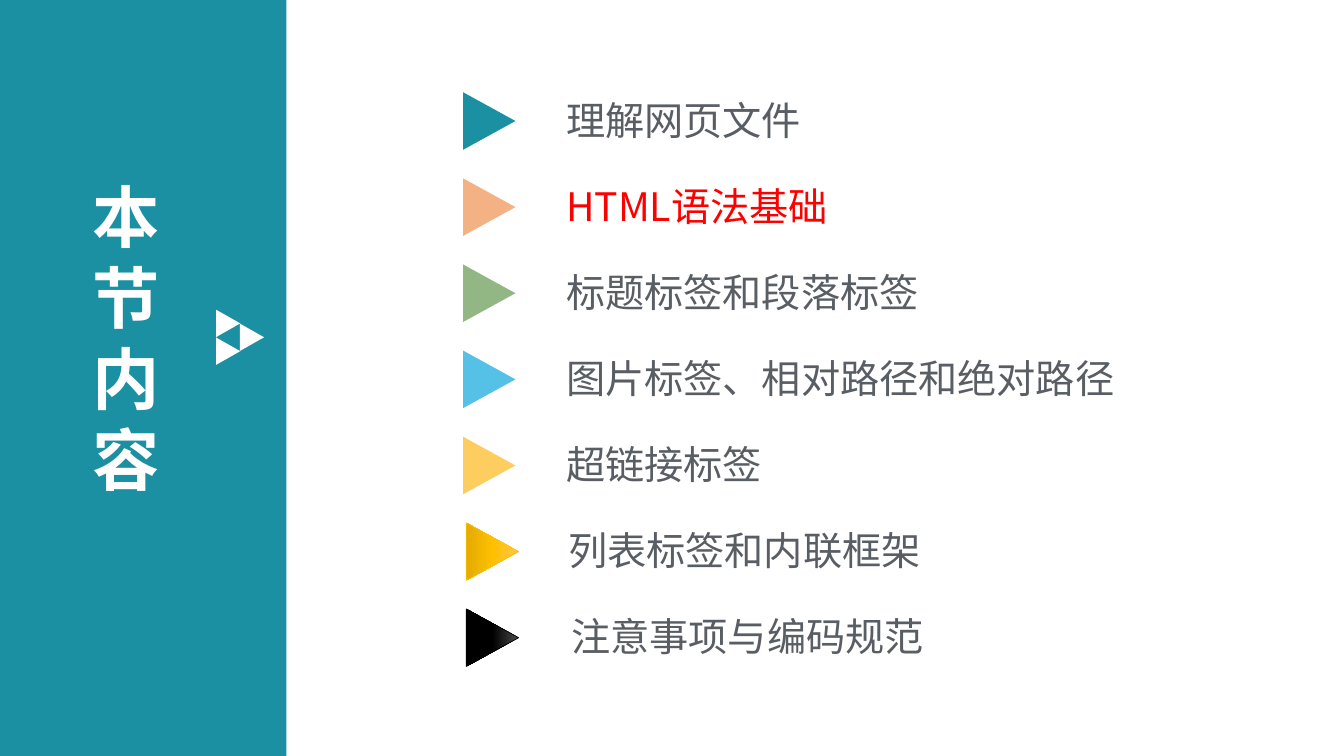
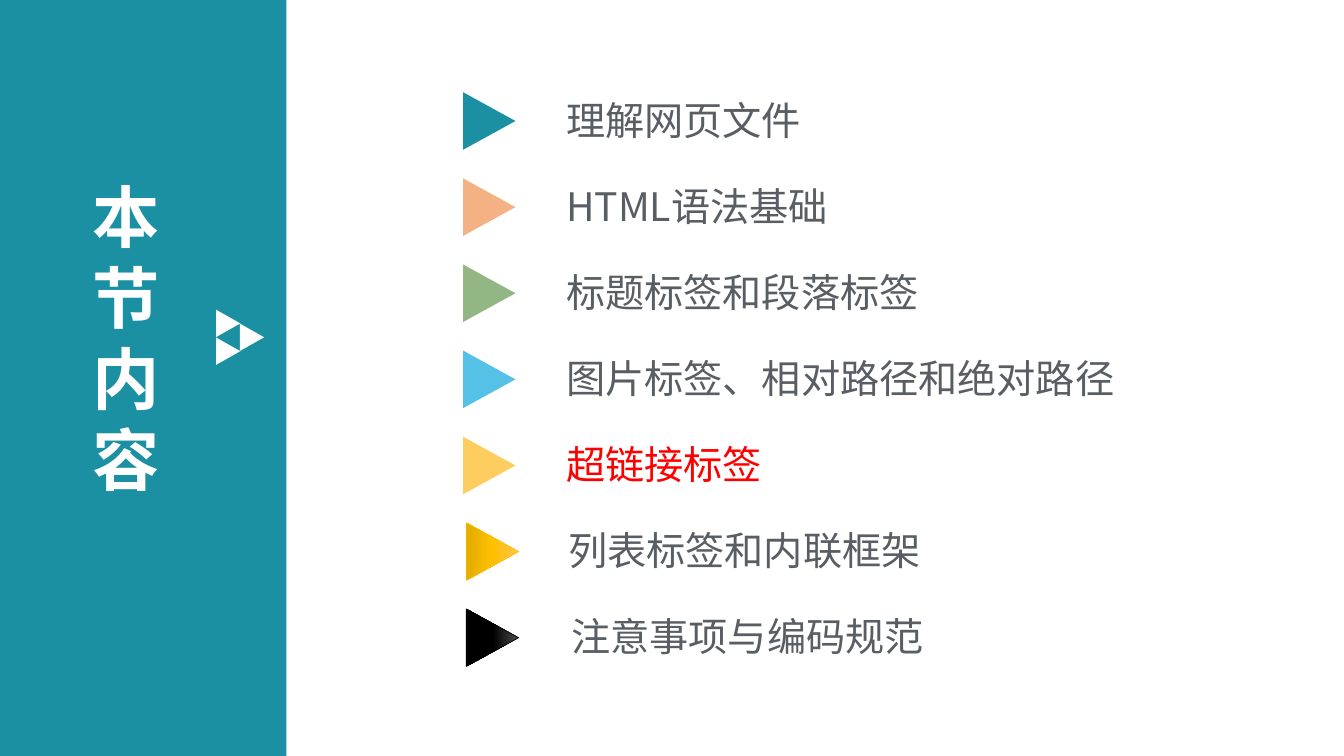
import copy

import pptx
import pptx.dml.color
import pptx.enum.shapes
import pptx.enum.text
import pptx.oxml
import pptx.oxml.ns
import pptx.util

Cm, Pt = pptx.util.Cm, pptx.util.Pt
ANCHOR = pptx.enum.text.MSO_ANCHOR
SHAPE = pptx.enum.shapes.MSO_SHAPE
qn = pptx.oxml.ns.qn

FONT = "Noto Sans CJK SC"
COLORS = {
    "teal": "1B90A2",
    "white": "FFFFFF",
    "text": "595E64",
    "current": "FF0000",
    "orange": "F4B183",
    "green": "93B784",
    "blue": "55C1E7",
    "yellow": "FDCD5F",
    "gold": "FFC000",
    "gold_light": "FFC64B",
    "gold_dark": "E3AB00",
    "black": "000000",
    "grey": "4B4B4B",
}
GOLD = ("gold_light", "gold", "gold_dark")
BLACK = ("grey", "black", "black")

# Topic, marker fill (one colour or gradient), marker centre x, text left
TOPICS = [
    ("理解网页文件", "teal", 12.33, 14.02),
    ("HTML语法基础", "orange", 12.33, 14.02),
    ("标题标签和段落标签", "green", 12.33, 14.02),
    ("图片标签、相对路径和绝对路径", "blue", 12.33, 14.02),
    ("超链接标签", "yellow", 12.33, 14.02),
    ("列表标签和内联框架", GOLD, 12.41, 14.07),
    ("注意事项与编码规范", BLACK, 12.41, 14.15),
]
CURRENT_TOPICS = ["HTML语法基础", "超链接标签"]
FIRST_ROW, ROW_PITCH = 3.05, 2.17


def rgb(name):
    return pptx.dml.color.RGBColor.from_string(COLORS[name])


def add_filled(slide, kind, x, y, w, h, color):
    sp = slide.shapes.add_shape(kind, Cm(x), Cm(y), Cm(w), Cm(h))
    sp.shadow.inherit = False
    sp.fill.solid()
    sp.fill.fore_color.rgb = rgb(color)
    sp.line.fill.background()
    return sp


def add_arrowhead(slide, cx, cy, w, h, color):
    """Triangle pointing right, centred on (cx, cy)."""
    sp = add_filled(slide, SHAPE.ISOSCELES_TRIANGLE,
                    cx - w / 2, cy - h / 2, w, h, color)
    sp.rotation = 90
    return sp


def set_gradient(sp, names):
    sp.fill.gradient()
    sp.fill.gradient_angle = 270
    # A new gradient has two stops; add a middle one
    stops = next(sp.element.spPr.iter(qn("a:gsLst")))
    stops.insert(1, copy.deepcopy(stops[0]))
    for stop, name, pos in zip(sp.fill.gradient_stops, names, (0, 0.5, 1)):
        stop.color.rgb = rgb(name)
        stop.position = pos
    sp.line.color.rgb = rgb(names[1])
    sp.line.width = Pt(0.5)


def write(tf, text, size, color, anchor, bold=False):
    tf.text = text
    tf.word_wrap = True
    tf.auto_size = pptx.enum.text.MSO_AUTO_SIZE.NONE
    tf.vertical_anchor = anchor
    p = tf.paragraphs[0]
    p.alignment = pptx.enum.text.PP_ALIGN.LEFT
    p.font.name = FONT
    p.font.size = Pt(size)
    p.font.bold = bold
    p.font.color.rgb = rgb(color)
    # Chinese characters take the East Asian font
    ea = pptx.oxml.parse_xml(
        f'<a:ea {pptx.oxml.ns.nsdecls("a")} typeface="{FONT}"/>')
    p._p.pPr.find(qn("a:defRPr")).append(ea)
    return p


def add_band(slide, layout):
    """Side band with its emblem, placed on the layout for all slides."""
    parts = [add_filled(slide, SHAPE.RECTANGLE, -0.15, -0.08, 7.37, 19.2, "teal")]
    for cx, cy in ((5.75, 8.15), (5.75, 8.85), (6.35, 8.5)):
        parts.append(add_arrowhead(slide, cx, cy, 0.69, 0.61, "white"))
    for sp in parts:
        layout.shapes.element.append(sp.element)


def add_title(slide, text):
    sp = slide.shapes.title
    sp.left, sp.top, sp.width, sp.height = Cm(2.08), Cm(4.27), Cm(2.34), Cm(8.46)
    p = write(sp.text_frame, text, 48, "white", ANCHOR.TOP, bold=True)
    p.line_spacing = Pt(58)


def add_topic(slide, row, topic, current):
    text, fill, marker_x, text_x = topic
    cy = FIRST_ROW + row * ROW_PITCH
    gradient = isinstance(fill, tuple)
    sp = add_arrowhead(slide, marker_x, cy, 1.45, 1.32,
                       fill[1] if gradient else fill)
    if gradient:
        set_gradient(sp, fill)
    box = slide.shapes.add_textbox(Cm(text_x), Cm(cy - 0.76), Cm(16), Cm(1.45))
    write(box.text_frame, text, 28, "current" if text == current else "text",
          ANCHOR.MIDDLE)


def main():
    prs = pptx.Presentation()
    prs.slide_width, prs.slide_height = Cm(33.87), Cm(19.05)
    layout = prs.slide_layouts[5]
    for i, current in enumerate(CURRENT_TOPICS):
        slide = prs.slides.add_slide(layout)
        if i == 0:
            add_band(slide, layout)
        add_title(slide, "本节内容")
        for row, topic in enumerate(TOPICS):
            add_topic(slide, row, topic, current)
    prs.save("out.pptx")


if __name__ == "__main__":
    main()
